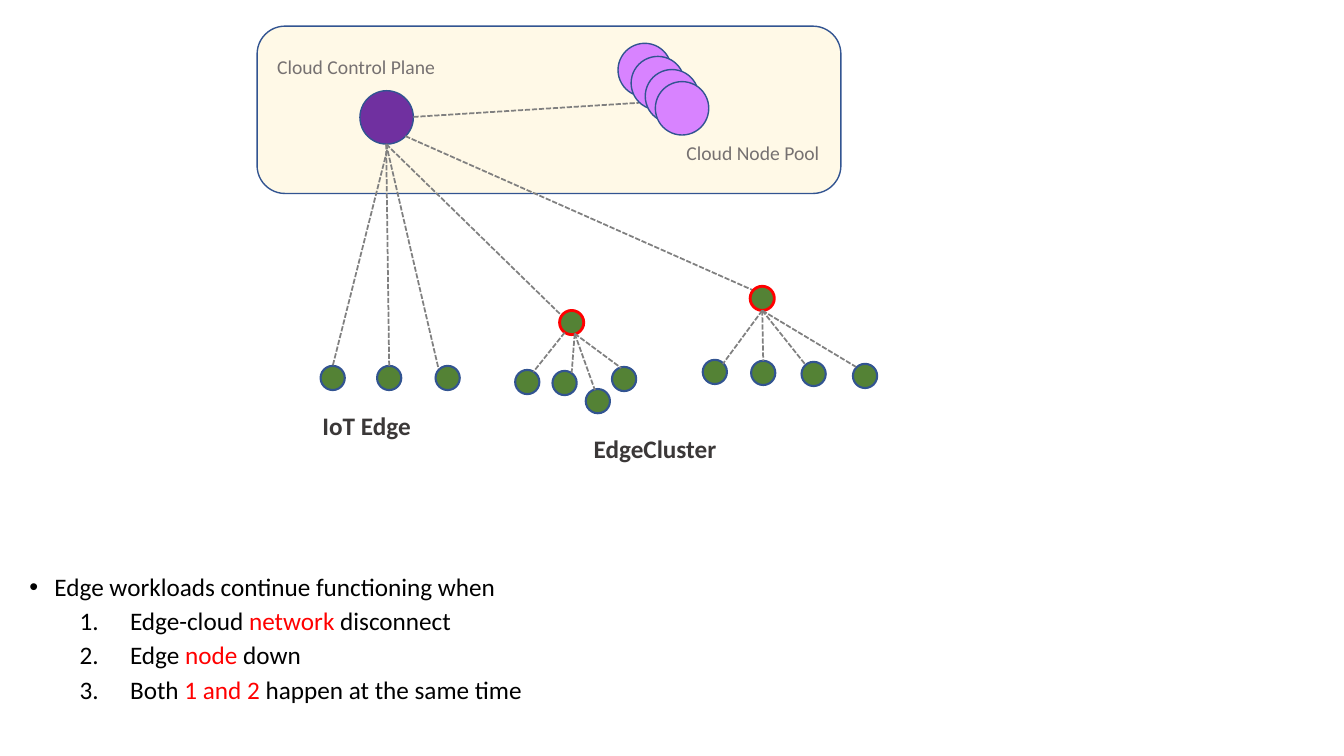
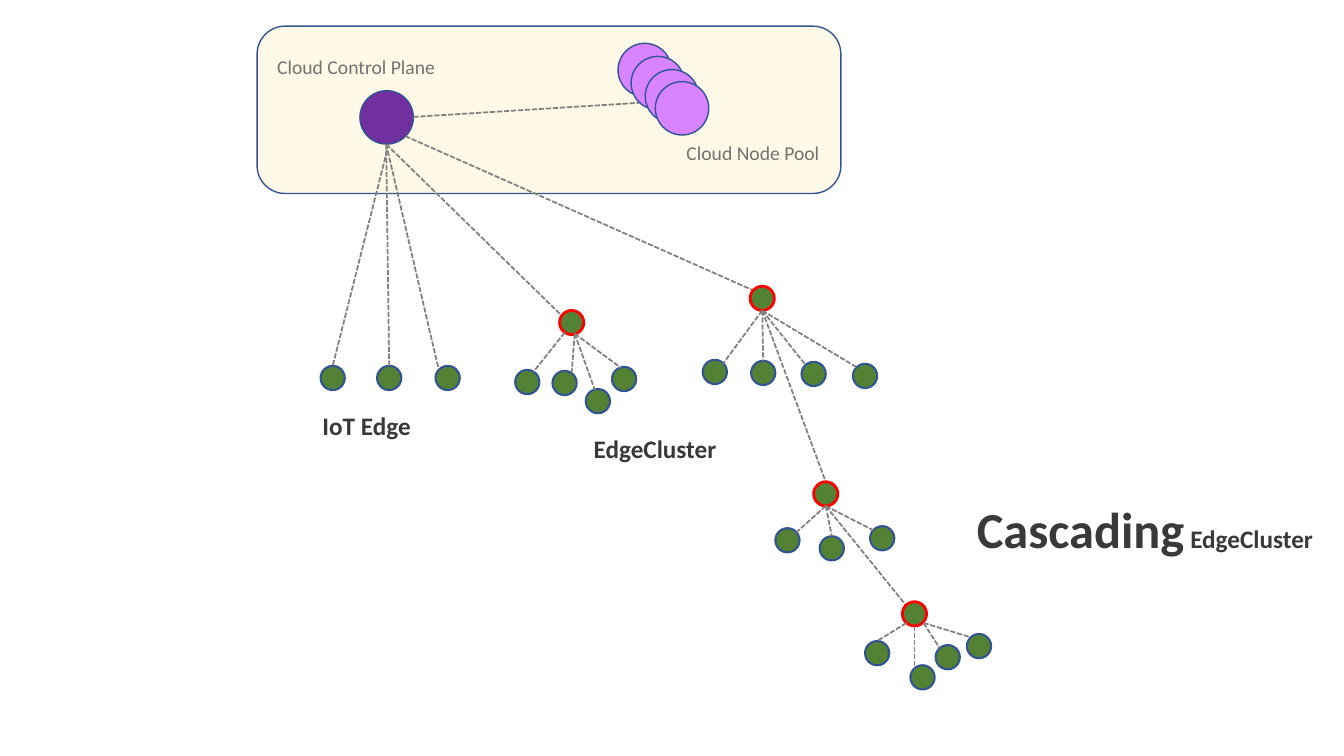
"""Build two slides on edge clusters attached to a cloud control plane."""
from dataclasses import dataclass
from typing import NamedTuple, Optional

from lxml import etree
from pptx import Presentation
from pptx.dml.color import RGBColor
from pptx.enum.dml import MSO_LINE
from pptx.enum.shapes import MSO_CONNECTOR, MSO_SHAPE
from pptx.enum.text import MSO_ANCHOR, MSO_AUTO_SIZE
from pptx.oxml.ns import qn
from pptx.util import Inches, Pt

OVAL, ROUNDED = MSO_SHAPE.OVAL, MSO_SHAPE.ROUNDED_RECTANGLE
STRAIGHT = MSO_CONNECTOR.STRAIGHT
SYS_DASH = MSO_LINE.SQUARE_DOT
MIDDLE = MSO_ANCHOR.MIDDLE
NO_FIT, FIT_SHAPE = MSO_AUTO_SIZE.NONE, MSO_AUTO_SIZE.SHAPE_TO_FIT_TEXT

FONT = "Calibri"
BLACK, RED, BLUE = "000000", "FF0000", "325491"
CREAM, PURPLE, LILAC, GREEN = "FFF2CC", "7030A0", "D883FF", "548235"
LINK_GRAY, LABEL_GRAY, DARK = "808080", "767171", "3B3838"
CLOUD_D, EDGE_D = 0.53, 0.24


class Point(NamedTuple):
    """A position in inches."""
    x: float
    y: float


class Run(NamedTuple):
    """A piece of text with its own size and colour."""
    text: str
    size: float = 18
    color: str = BLACK
    bold: bool = False


class Label(NamedTuple):
    """A one-line text box."""
    at: Point
    width: float
    height: float
    runs: tuple[Run, ...]


class Leaf(NamedTuple):
    """An edge node, the end of its link and, if it differs, the start."""
    at: Point
    end: Point
    start: Optional[Point] = None


@dataclass(frozen=True)
class Cluster:
    """Edge nodes fanning out from a hub, with an optional head node."""
    hub: Point
    leaves: tuple[Leaf, ...]
    head: Optional[Point] = None
    uplink: Optional[tuple[Point, Point]] = None


CONTROL_HUB = Point(3.83, 1.43)
EAST_HUB = Point(7.56, 3.08)
CASCADE_HUB = Point(8.19, 5.02)

POOL = (Point(6.13, 0.43), Point(6.26, 0.56), Point(6.4, 0.69), Point(6.5, 0.81))

EDGE_CLUSTERS = (
    Cluster(CONTROL_HUB, (
        Leaf(Point(4.32, 3.63), Point(4.35, 3.66)),
        Leaf(Point(3.74, 3.63), Point(3.86, 3.63)),
        Leaf(Point(3.18, 3.63), Point(3.3, 3.63), Point(3.84, 1.49)),
    )),
    Cluster(Point(5.7, 3.31), (
        Leaf(Point(5.11, 3.67), Point(5.29, 3.69), Point(5.6, 3.3)),
        Leaf(Point(5.48, 3.68), Point(5.67, 3.7)),
        Leaf(Point(5.81, 3.86), Point(5.9, 3.87)),
        Leaf(Point(6.07, 3.64), Point(6.16, 3.65)),
    ), Point(5.55, 3.08), (CONTROL_HUB, Point(5.57, 3.13))),
    Cluster(EAST_HUB, (
        Leaf(Point(6.97, 3.57), Point(7.17, 3.61)),
        Leaf(Point(7.45, 3.58), Point(7.57, 3.58)),
        Leaf(Point(7.95, 3.59), Point(7.99, 3.62)),
        Leaf(Point(8.46, 3.61), Point(8.49, 3.64)),
    ), Point(7.44, 2.84), (Point(4.02, 1.35), Point(7.47, 2.88))),
)
CASCADING_CLUSTERS = (
    Cluster(CASCADE_HUB, (
        Leaf(Point(7.69, 5.24), Point(7.9, 5.28)),
        Leaf(Point(8.13, 5.32), Point(8.25, 5.32)),
        Leaf(Point(8.63, 5.22), Point(8.66, 5.26)),
    ), Point(8.07, 4.78), (EAST_HUB, Point(8.19, 4.78))),
    Cluster(Point(9.16, 6.18), (
        Leaf(Point(8.58, 6.36), Point(8.7, 6.36), Point(8.99, 6.18)),
        Leaf(Point(9.03, 6.6), Point(9.07, 6.64), Point(9.07, 6.21)),
        Leaf(Point(9.28, 6.4), Point(9.32, 6.43)),
        Leaf(Point(9.59, 6.29), Point(9.62, 6.32)),
    ), Point(8.95, 5.97), (CASCADE_HUB, Point(8.99, 6.01))),
)

SHARED_LABELS = (
    Label(Point(6.71, 1.35), 1.53, 0.34, (Run("Cloud Node Pool", 14, LABEL_GRAY),)),
    Label(Point(2.65, 0.5), 1.79, 0.34, (Run("Cloud Control Plane", 14, LABEL_GRAY),)),
    Label(Point(3.1, 4.02), 1.08, 0.4, (Run("IoT Edge", 18, DARK, True),)),
    Label(Point(5.79, 4.25), 1.43, 0.4, (Run("EdgeCluster", 18, DARK, True),)),
)
CASCADING_LABEL = Label(Point(9.59, 4.89), 3.57, 0.71, (
    Run("Cascading", 36, DARK, True), Run(" EdgeCluster", 18, DARK, True)))

INTRO = "Edge workloads continue functioning when"
FAILURES = (
    (Run("Edge-cloud "), Run("network ", color=RED), Run("disconnect")),
    (Run("Edge "), Run("node ", color=RED), Run("down")),
    (Run("Both "), Run("1 and 2 ", color=RED), Run("happen at the same time")),
)


def rgb(color: str) -> RGBColor:
    """Turn a hex string into a colour."""
    return RGBColor.from_string(color)


def add_run(p, text: str, *, size: float = 18, color: str = BLACK, bold: bool = False) -> None:
    """Append formatted text to a paragraph."""
    r = p.add_run()
    r.text = text
    r.font.name, r.font.size, r.font.bold = FONT, Pt(size), bold
    r.font.color.rgb = rgb(color)


def add_runs(p, runs: tuple[Run, ...]) -> None:
    """Append several runs to a paragraph."""
    for run in runs:
        add_run(p, run.text, size=run.size, color=run.color, bold=run.bold)


def add_node(shapes, kind, at: Point, width: float, height: float, fill: str,
             line: str = BLUE, weight: float = 1):
    """Draw a filled and outlined preset shape."""
    sp = shapes.add_shape(kind, Inches(at.x), Inches(at.y), Inches(width), Inches(height))
    sp.shadow.inherit = False
    sp.fill.solid()
    sp.fill.fore_color.rgb = rgb(fill)
    sp.line.color.rgb = rgb(line)
    sp.line.width = Pt(weight)
    return sp


def add_link(shapes, start: Point, end: Point) -> None:
    """Draw a dashed connector between two points."""
    cxn = shapes.add_connector(STRAIGHT, *(Inches(v) for v in (*start, *end)))
    cxn.line.color.rgb = rgb(LINK_GRAY)
    cxn.line.width = Pt(1.25)
    cxn.line.dash_style = SYS_DASH
    etree.SubElement(cxn._element.spPr, qn("a:effectLst"))


def add_label(s, label: Label) -> None:
    """Draw a one-line text box."""
    tf = s.shapes.add_textbox(Inches(label.at.x), Inches(label.at.y),
                              Inches(label.width), Inches(label.height)).text_frame
    tf.word_wrap = False
    tf.auto_size = FIT_SHAPE
    add_runs(tf.paragraphs[0], label.runs)


def add_cluster(s, cluster: Cluster) -> None:
    """Draw a cluster as one group."""
    shapes = s.shapes.add_group_shape().shapes
    if cluster.uplink:
        add_link(shapes, *cluster.uplink)
    if cluster.head:
        add_node(shapes, OVAL, cluster.head, EDGE_D, EDGE_D, GREEN, RED, 2)
    for leaf in cluster.leaves:
        add_node(shapes, OVAL, leaf.at, EDGE_D, EDGE_D, GREEN, weight=1.5)
        add_link(shapes, leaf.start or cluster.hub, leaf.end)


def add_cloud(s) -> None:
    """Draw the cloud panel with its control plane and node pool."""
    panel = add_node(s.shapes, ROUNDED, Point(2.55, 0.26), 5.79, 1.66, CREAM)
    color = panel._element.spPr.find(qn("a:solidFill")).find(qn("a:srgbClr"))
    etree.SubElement(color, qn("a:alpha"), val="46000")
    add_node(s.shapes, OVAL, Point(3.57, 0.9), CLOUD_D, CLOUD_D, PURPLE)
    add_link(s.shapes, Point(4.1, 1.16), Point(6.34, 1.02))
    for at in POOL:
        add_node(s.shapes, OVAL, at, CLOUD_D, CLOUD_D, LILAC)


def add_topology(s) -> None:
    """Draw the diagram that both slides share."""
    add_cloud(s)
    for cluster in EDGE_CLUSTERS:
        add_cluster(s, cluster)
    for label in SHARED_LABELS:
        add_label(s, label)


def format_item(p, margin: float, hanging: float, before: float, bullet: str, **attrs: str) -> None:
    """Set a list paragraph's spacing, indent and bullet."""
    p.line_spacing = 0.9
    p.space_before = Pt(before)
    pPr = p._p.get_or_add_pPr()
    pPr.set("marL", str(Inches(margin)))
    pPr.set("indent", str(-Inches(hanging)))
    etree.SubElement(pPr, qn("a:buFont"), typeface="Arial" if bullet == "a:buChar" else "+mj-lt")
    etree.SubElement(pPr, qn(bullet), **attrs)


def fill_body(sp) -> None:
    """Place the body placeholder and write its list."""
    sp.left, sp.top, sp.width, sp.height = (Inches(v) for v in (0.19, 5.37, 6.33, 1.95))
    tf = sp.text_frame
    tf.word_wrap = True
    tf.auto_size = NO_FIT
    tf.vertical_anchor = MIDDLE
    p = tf.paragraphs[0]
    format_item(p, 0.25, 0.25, 0, "a:buChar", char="•")
    add_run(p, INTRO)
    for runs in FAILURES:
        p = tf.add_paragraph()
        p.level = 1
        format_item(p, 1, 0.5, 5, "a:buAutoNum", type="arabicPeriod")
        add_runs(p, runs)


def main() -> None:
    """Build and save the presentation."""
    prs = Presentation()
    prs.slide_width, prs.slide_height = Inches(13.33), Inches(7.5)

    s = prs.slides.add_slide(prs.slide_layouts[1])
    title = s.shapes.title._element
    title.getparent().remove(title)
    add_topology(s)
    fill_body(s.placeholders[1])

    s = prs.slides.add_slide(prs.slide_layouts[6])
    add_topology(s)
    for cluster in CASCADING_CLUSTERS:
        add_cluster(s, cluster)
    add_label(s, CASCADING_LABEL)

    prs.save("out.pptx")


if __name__ == "__main__":
    main()
